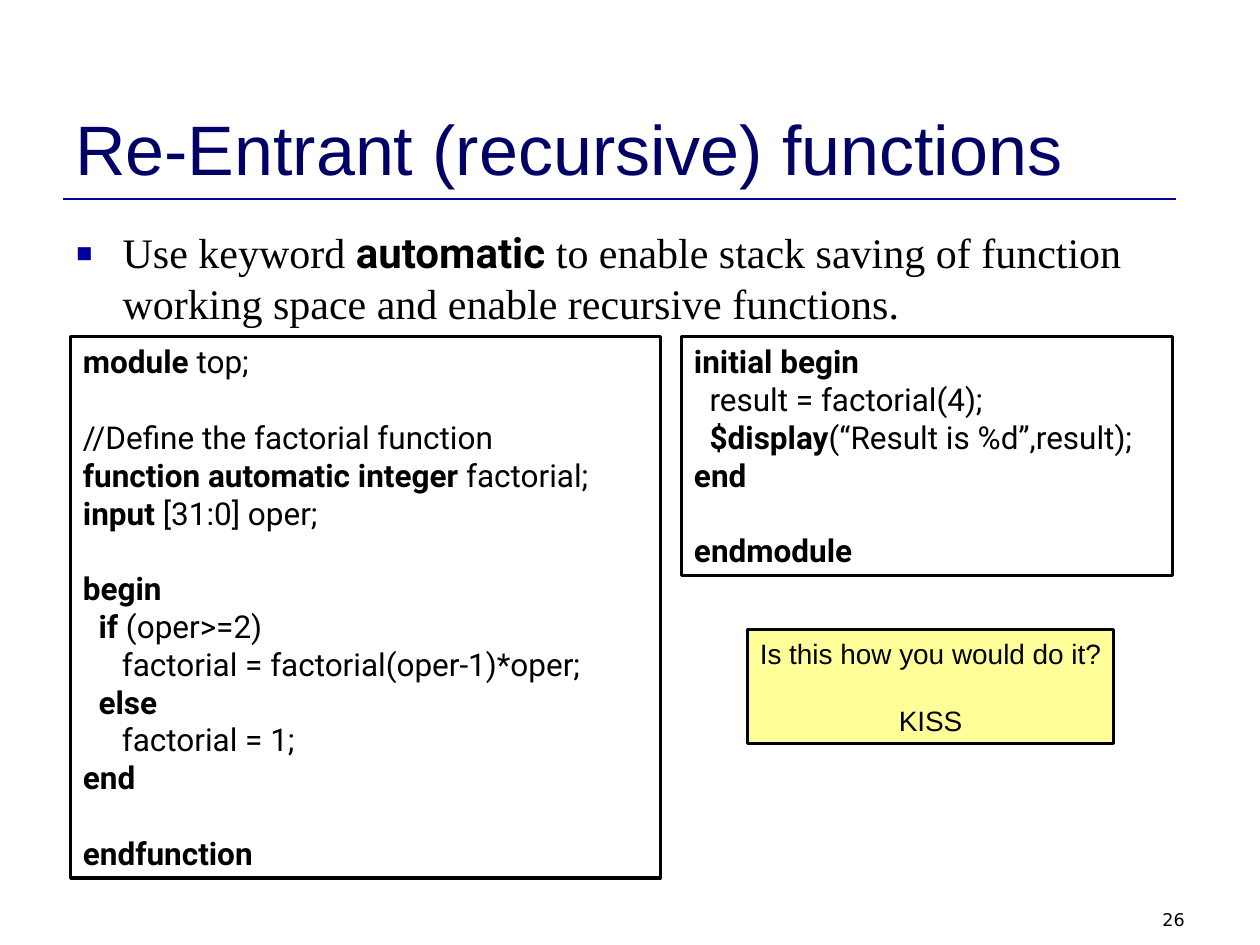
from lxml.etree import SubElement
from pptx import Presentation
from pptx.dml.color import RGBColor
from pptx.enum.shapes import MSO_CONNECTOR, MSO_SHAPE
from pptx.enum.text import MSO_ANCHOR, PP_ALIGN
from pptx.oxml.ns import qn
from pptx.util import Pt

BLACK, NAVY, BLUE, YELLOW = "000000", "000066", "0000A0", "FFFF99"
CODE_TOP = 192.2

FACTORIAL_CODE = """**module** top;

//Define the factorial function
**function automatic integer** factorial;
**input** [31:0] oper;

**begin**
  **if** (oper>=2)
     factorial = factorial(oper-1)*oper;
**  else**
     factorial = 1;
**end**

**endfunction**"""

TEST_CODE = """**initial begin**
  result = factorial(4);
**  $display**(“Result is %d”,result);
**end**

**endmodule**"""


def color(hex_string):
    return RGBColor.from_string(hex_string)


def add_spans(para, text, bold_font):
    """Add text in which ** switches bold on and off."""
    for index, part in enumerate(text.split("**")):
        if part:
            span = para.add_run()
            span.text = part
            if index % 2:
                span.font.bold = True
                span.font.name = bold_font


def write_lines(frame, text, font, size, ink=BLACK, align=PP_ALIGN.LEFT,
                line_height=0, bold_font=None):
    """Fill the frame; an empty line becomes space before the next one."""
    frame.word_wrap = True
    gap, para = 0, None
    for line in text.split("\n"):
        if not line:
            gap = line_height
            continue
        para = frame.add_paragraph() if para else frame.paragraphs[0]
        para.alignment = align
        if gap:
            para.space_before = Pt(gap)
        para.font.name = font
        para.font.size = Pt(size)
        para.font.color.rgb = color(ink)
        add_spans(para, line, bold_font or font)
        gap = 0


def add_text(page, left, top, width, height):
    box = page.shapes.add_textbox(Pt(left), Pt(top), Pt(width), Pt(height))
    return box.text_frame


def add_frame(page, left, top, width, height, fill=None, side_margin=7.2):
    """Add a black-edged rectangle and return its text frame."""
    box = page.shapes.add_shape(MSO_SHAPE.RECTANGLE, Pt(left), Pt(top),
                                Pt(width), Pt(height))
    box.shadow.inherit = False
    box.line.color.rgb = color(BLACK)
    box.line.width = Pt(1.75)
    if fill:
        box.fill.solid()
        box.fill.fore_color.rgb = color(fill)
    else:
        box.fill.background()
    frame = box.text_frame
    frame.vertical_anchor = MSO_ANCHOR.TOP
    frame.margin_left = frame.margin_right = Pt(side_margin)
    return frame


def add_code(page, left, width, height, code):
    frame = add_frame(page, left, CODE_TOP, width, height)
    write_lines(frame, code, "Roboto", 18, line_height=21.6)


def add_rule(page, left, right, y):
    rule = page.shapes.add_connector(MSO_CONNECTOR.STRAIGHT, Pt(left), Pt(y),
                                     Pt(right), Pt(y))
    rule.line.color.rgb = color(BLUE)
    rule.line.width = Pt(1.5)
    SubElement(rule._element.spPr, qn("a:effectLst"))


def add_bullet(para, indent):
    properties = para._p.get_or_add_pPr()
    properties.set("marL", str(Pt(indent)))
    properties.set("indent", str(-Pt(indent)))
    bullet_color = SubElement(properties, qn("a:buClr"))
    SubElement(bullet_color, qn("a:srgbClr"), val=BLUE)
    SubElement(properties, qn("a:buSzPct"), val="125000")
    SubElement(properties, qn("a:buFont"), typeface="Arial")
    SubElement(properties, qn("a:buChar"), char="▪")


def main():
    deck = Presentation()
    deck.slide_width, deck.slide_height = Pt(720), Pt(540)
    page = deck.slides.add_slide(deck.slide_layouts[6])

    add_rule(page, 36, 672, 113.8)
    number = add_text(page, 516, 516, 168, 18)
    write_lines(number, "26", "DejaVu Sans", 10, align=PP_ALIGN.RIGHT)

    title = add_text(page, 36, 21.6, 648, 90)
    title.vertical_anchor = MSO_ANCHOR.BOTTOM
    write_lines(title, "Re-Entrant (recursive) functions", "Arial", 40, NAVY)

    body = add_text(page, 36, 126, 648, 66)
    add_bullet(body.paragraphs[0], 27)
    write_lines(body, "Use keyword **automatic** to enable stack saving of "
                "function working space and enable recursive functions.",
                "Times New Roman", 24, bold_font="Roboto")

    add_code(page, 40.3, 337, 309.6, FACTORIAL_CODE)
    add_code(page, 389.5, 280.8, 136.8, TEST_CODE)

    note = add_frame(page, 427, 360, 209.5, 64.8, YELLOW, side_margin=0)
    write_lines(note, "Is this how you would do it?\n\nKISS", "Arial", 16,
                align=PP_ALIGN.CENTER, line_height=19.2)

    deck.save("out.pptx")


if __name__ == "__main__":
    main()
